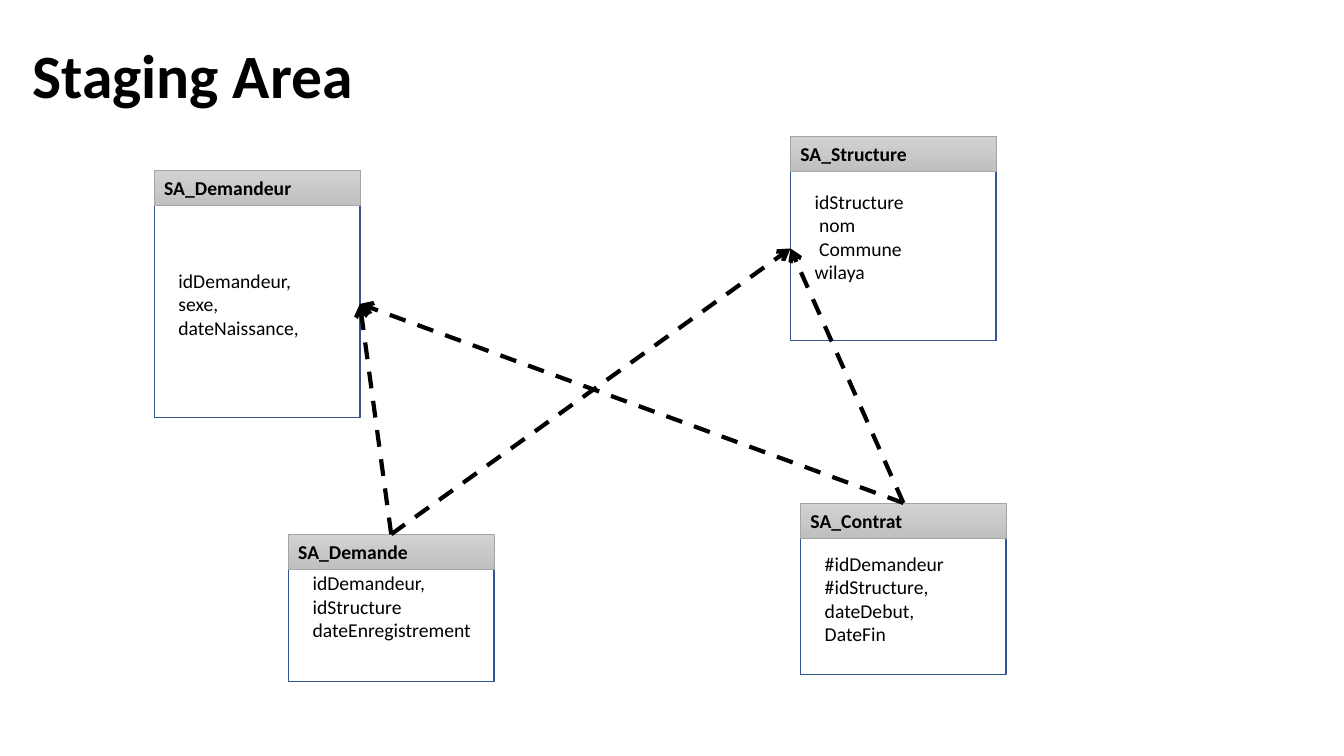
from lxml import etree
from pptx import Presentation, util as u
from pptx.dml.color import RGBColor
from pptx.enum import dml, shapes, text
from pptx.oxml.ns import qn

PX = 9144  # 100 px to the inch
COLOURS = {
    "ink": "000000", "paper": "FFFFFF", "frame": "325491",
    "header_top": "D2D2D2", "header_bottom": "C0C0C0", "header_line": "A5A5A5",
}
TABLE_WIDTH, HEADER_HEIGHT, BODY_OFFSET = 204, 35, 20
BLANK_LINE = 23  # height of one 14 pt line


def px(value):
    return u.Emu(value * PX)


def colour(name):
    return RGBColor.from_string(COLOURS[name])


class Diagram:
    def __init__(self, presentation, font="Calibri"):
        self.font = font
        self.slide = presentation.slides.add_slide(presentation.slide_layouts[5])

    def set_text(self, shape, lines, size, bold=False):
        frame = shape.text_frame
        frame.text = "\n".join(lines)
        frame.vertical_anchor = text.MSO_ANCHOR.MIDDLE
        for paragraph in frame.paragraphs:
            paragraph.alignment = text.PP_ALIGN.LEFT
            font = paragraph.font
            font.name, font.size, font.bold = self.font, u.Pt(size), bold
            font.color.rgb = colour("ink")

    def title(self, wording, left, top, width, height):
        shape = self.slide.shapes.title
        shape.left, shape.top = px(left), px(top)
        shape.width, shape.height = px(width), px(height)
        self.set_text(shape, [wording], 44, bold=True)
        shape.text_frame.auto_size = text.MSO_AUTO_SIZE.NONE
        shape.text_frame.paragraphs[0].line_spacing = 0.9

    def rectangle(self, group, left, top, height, line, line_width):
        shape = group.shapes.add_shape(
            shapes.MSO_SHAPE.RECTANGLE, px(left), px(top), px(TABLE_WIDTH), px(height))
        shape.shadow.inherit = False
        shape.line.color.rgb = colour(line)
        shape.line.width = u.Pt(line_width)
        return shape

    def entity(self, name, fields, left, top, body_height, space_below=0):
        """Draw a named table and return its body and header."""
        group = self.slide.shapes.add_group_shape()
        body = self.rectangle(group, left, top + BODY_OFFSET, body_height, "frame", 1)
        body.fill.solid()
        body.fill.fore_color.rgb = colour("paper")
        self.set_text(body, fields, 14)
        body.text_frame.margin_left = px(24)
        body.text_frame.margin_bottom = px(5 + space_below)

        header = self.rectangle(group, left, top, HEADER_HEIGHT, "header_line", 0.5)
        header.fill.gradient()
        header.fill.gradient_angle = 270
        for stop, name_of_colour in zip(header.fill.gradient_stops,
                                        ("header_top", "header_bottom")):
            stop.color.rgb = colour(name_of_colour)
        self.set_text(header, [name], 14, bold=True)
        return body, header

    def reference(self, source, target, target_side):
        """Draw a dashed arrow from the top of source to a side of target."""
        connector = self.slide.shapes.add_connector(
            shapes.MSO_CONNECTOR.STRAIGHT, 0, 0, 0, 0)
        connector.begin_connect(source, 0)
        connector.end_connect(target, target_side)
        connector.line.color.rgb = colour("ink")
        connector.line.width = u.Pt(3)
        connector.line.dash_style = dml.MSO_LINE.DASH
        properties = connector._element.spPr
        etree.SubElement(properties.find(qn("a:ln")), qn("a:tailEnd"), type="arrow")
        etree.SubElement(properties, qn("a:effectLst"))


def main():
    presentation = Presentation()
    presentation.slide_width, presentation.slide_height = px(1333), px(750)
    diagram = Diagram(presentation)
    diagram.title("Staging Area", 22, 5, 1150, 145)

    # Tables
    demandeur, _ = diagram.entity(
        "SA_Demandeur", ["idDemandeur,", "sexe,", "dateNaissance,"], 153, 169, 225)
    structure, _ = diagram.entity(
        "SA_Structure", ["idStructure", " nom", " Commune", "wilaya"],
        784, 135, 183, BLANK_LINE)
    _, demande = diagram.entity(
        "SA_Demande", ["idDemandeur,", "idStructure", "dateEnregistrement"],
        286, 530, 126, BLANK_LINE)
    _, contrat = diagram.entity(
        "SA_Contrat", ["#idDemandeur", "#idStructure, dateDebut,", "DateFin"],
        794, 499, 150)

    # References between tables
    for source in (demande, contrat):
        diagram.reference(source, demandeur, 3)
        diagram.reference(source, structure, 1)

    presentation.save("out.pptx")


if __name__ == "__main__":
    main()
